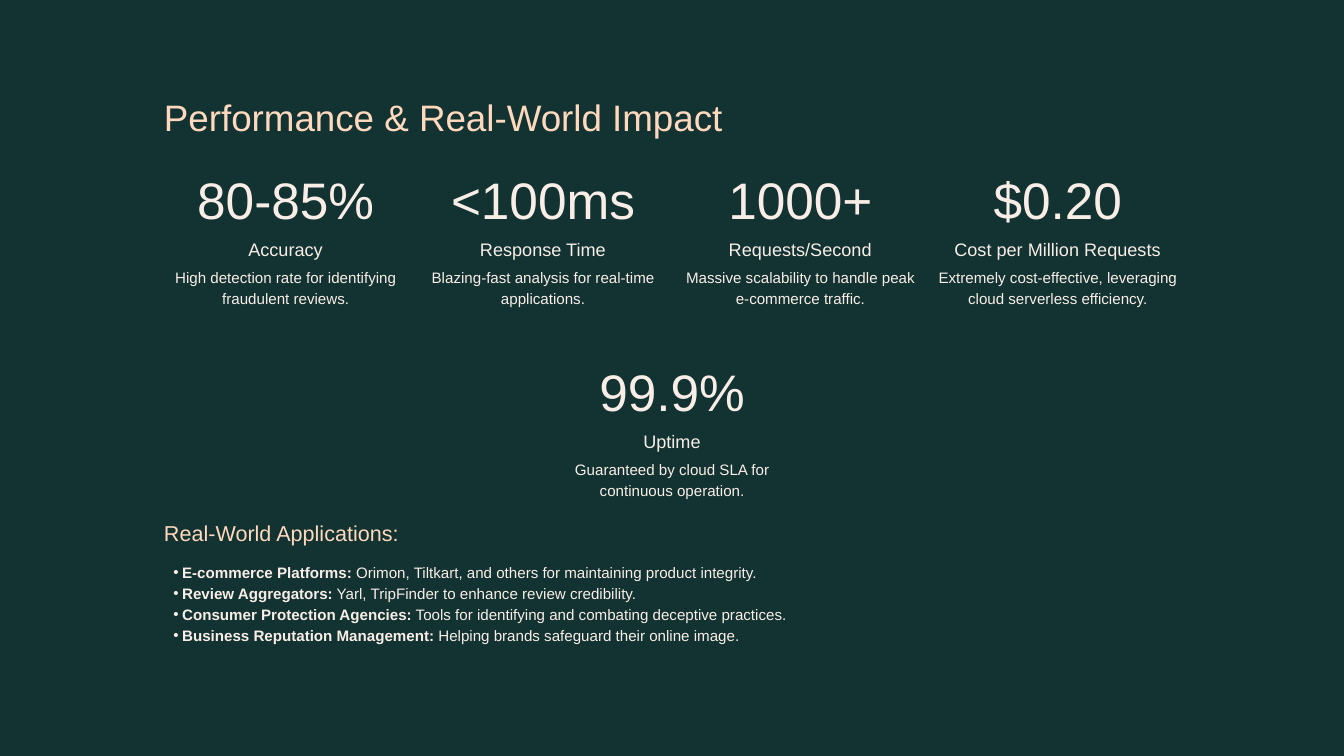
from lxml import etree
from pptx import Presentation
from pptx.dml.color import RGBColor
from pptx.enum.shapes import MSO_SHAPE as Shape
from pptx.enum.text import MSO_AUTO_SIZE as AutoSize, PP_ALIGN as Align
from pptx.oxml.ns import qn
from pptx.util import Inches, Pt

FONT = "Arial"
DARK_GREEN, PEACH, CREAM = "123332", "FFD9BE", "F9EEE7"
SLIDE_WIDTH, SLIDE_HEIGHT = 20, 11.25

METRIC_WIDTH = 3.62
METRIC_STEP = 3.83
METRICS = [
    ("80-85%", "Accuracy",
     "High detection rate for identifying fraudulent reviews."),
    ("<100ms", "Response Time",
     "Blazing-fast analysis for real-time applications."),
    ("1000+", "Requests/Second",
     "Massive scalability to handle peak e-commerce traffic."),
    ("$0.20", "Cost per Million Requests",
     "Extremely cost-effective, leveraging cloud serverless efficiency."),
]
UPTIME = ("99.9%", "Uptime",
          "Guaranteed by cloud SLA for continuous operation.")
APPLICATIONS = [
    ("E-commerce Platforms:",
     " Orimon, Tiltkart, and others for maintaining product integrity."),
    ("Review Aggregators:",
     " Yarl, TripFinder to enhance review credibility."),
    ("Consumer Protection Agencies:",
     " Tools for identifying and combating deceptive practices."),
    ("Business Reputation Management:",
     " Helping brands safeguard their online image."),
]


def rgb(hex_color):
    return RGBColor.from_string(hex_color)


def add_backdrop(slide, left, top, width, height):
    """Cover the given box with the dark slide colour."""
    backdrop = slide.shapes.add_shape(
        Shape.RECTANGLE, Inches(left), Inches(top),
        Inches(width), Inches(height))
    backdrop.shadow.inherit = False
    backdrop.fill.solid()
    backdrop.fill.fore_color.rgb = rgb(DARK_GREEN)
    backdrop.line.fill.background()


def add_frame(slide, left, top, width, height):
    """Add an empty text box without margins and return its text frame."""
    frame = slide.shapes.add_textbox(
        Inches(left), Inches(top), Inches(width), Inches(height)).text_frame
    frame.margin_left = frame.margin_right = 0
    frame.margin_top = frame.margin_bottom = 0
    frame.word_wrap = True
    frame.auto_size = AutoSize.SHAPE_TO_FIT_TEXT
    return frame


def style(paragraph, size, spacing, color=CREAM, align=Align.LEFT):
    paragraph.alignment = align
    paragraph.line_spacing = Pt(spacing)
    paragraph.font.name = FONT
    paragraph.font.size = Pt(size)
    paragraph.font.color.rgb = rgb(color)


def add_line(slide, box, text, size, spacing, color=CREAM, align=Align.LEFT):
    paragraph = add_frame(slide, *box).paragraphs[0]
    paragraph.text = text
    style(paragraph, size, spacing, color, align)


def add_metric(slide, left, top, metric):
    """Stack a big figure, its label and a description, all centred."""
    figure, label, description = metric
    for text, offset, height, size, spacing in (
            (figure, 0, 0.66, 55, 55),
            (label, 0.88, 0.36, 19.4, 24.4),
            (description, 1.3, 0.68, 16.2, 22.5)):
        add_line(slide, (left, top + offset, METRIC_WIDTH, height),
                 text, size, spacing, align=Align.CENTER)


def add_bullet(paragraph, indent, hanging):
    properties = paragraph._p.get_or_add_pPr()
    properties.set("marL", str(Inches(indent)))
    properties.set("indent", str(-Inches(hanging)))
    etree.SubElement(properties, qn("a:buFont")).set("typeface", FONT)
    etree.SubElement(properties, qn("a:buChar")).set("char", "•")


def add_applications(slide, left, top, width):
    """Heading with a bulleted list below it."""
    add_line(slide, (left, top, 3.71, 0.43), "Real-World Applications:",
             23.1, 29.4, PEACH)
    frame = add_frame(slide, left, top + 0.63, width, 1.49)
    for index, (name, detail) in enumerate(APPLICATIONS):
        paragraph = frame.add_paragraph() if index else frame.paragraphs[0]
        paragraph.level = 1
        add_bullet(paragraph, 0.27, 0.13)
        style(paragraph, 16.2, 22.5)
        for text, bold in ((name, True), (detail, False)):
            run = paragraph.add_run()
            run.text = text
            run.font.bold = bold


def main():
    prs = Presentation()
    prs.slide_width = Inches(SLIDE_WIDTH)
    prs.slide_height = Inches(SLIDE_HEIGHT)
    slide = prs.slides.add_slide(prs.slide_layouts[6])
    add_backdrop(slide, 0, 0, SLIDE_WIDTH, SLIDE_HEIGHT)

    left = 2.44
    # Title
    add_line(slide, (left, 1.39, 8.61, 0.71),
             "Performance & Real-World Impact", 39.4, 48.7, PEACH)
    # Row of four metrics, with the fifth centred below
    for column, metric in enumerate(METRICS):
        add_metric(slide, left + column * METRIC_STEP, 2.65, metric)
    add_metric(slide, (SLIDE_WIDTH - METRIC_WIDTH) / 2, 5.51, UPTIME)
    # Applications
    add_applications(slide, left, 7.71, 15.11)

    prs.save("out.pptx")


if __name__ == "__main__":
    main()
